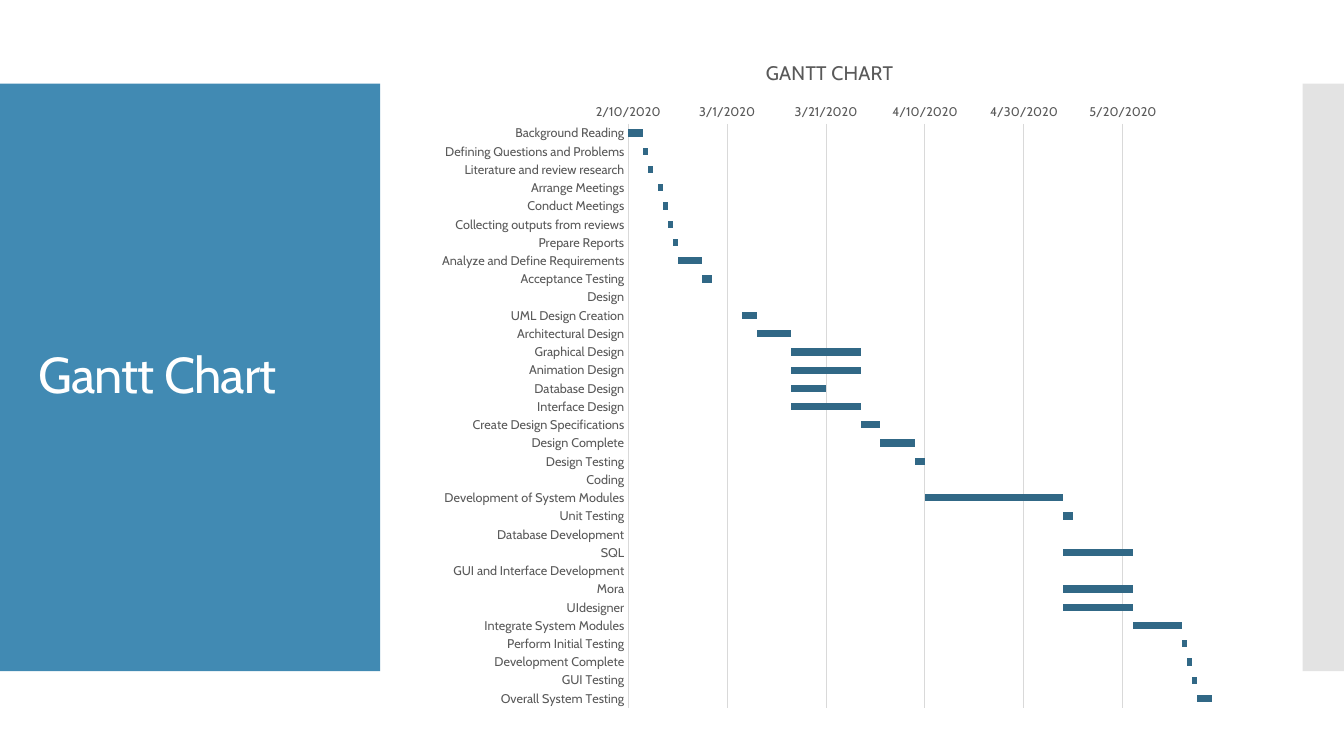
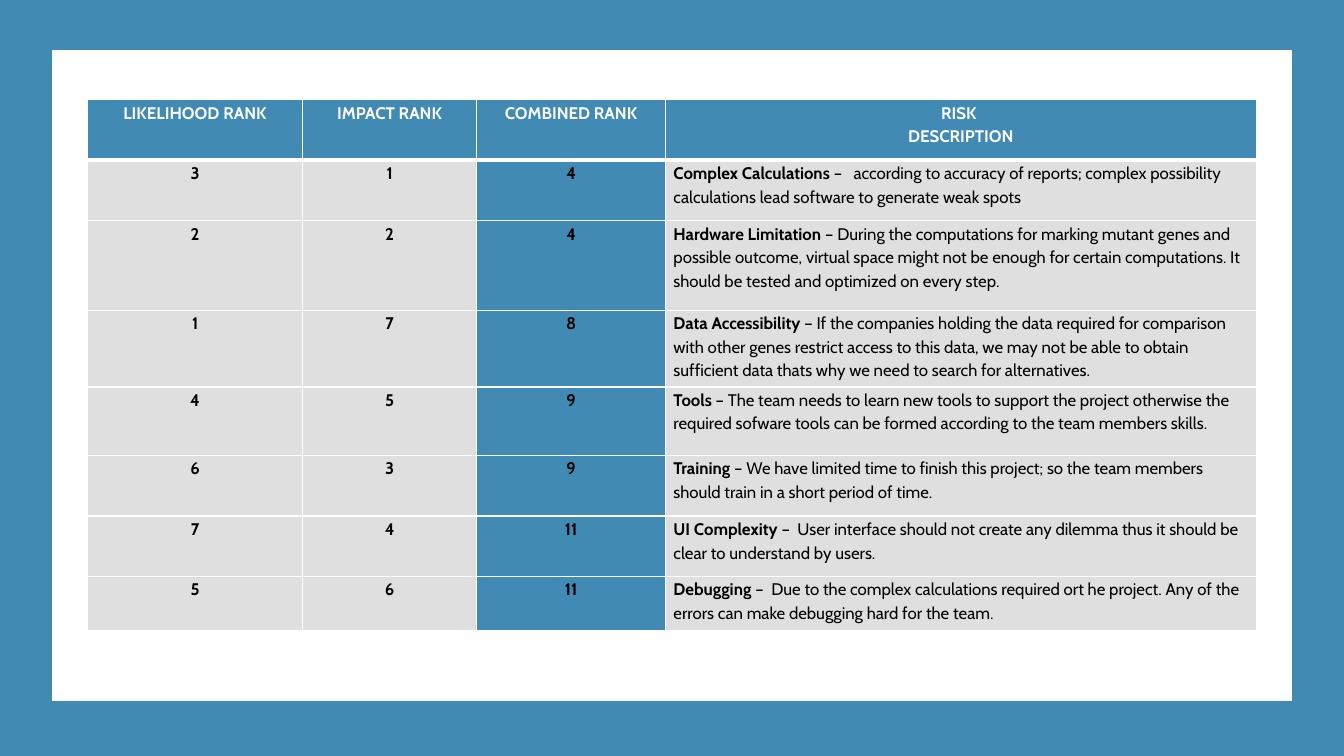
from dataclasses import dataclass

from lxml.etree import SubElement
from pptx import Presentation
from pptx.chart.data import CategoryChartData
from pptx.dml.color import RGBColor as RGB
from pptx.enum.chart import XL_CHART_TYPE as ChartType, XL_TICK_MARK as Tick
from pptx.enum.shapes import MSO_SHAPE as Shape
from pptx.enum.text import MSO_ANCHOR as Anchor, PP_ALIGN as Align
from pptx.oxml import parse_xml
from pptx.oxml.ns import nsdecls, qn
from pptx.util import Inches, Pt


@dataclass(frozen=True)
class Theme:
    font: str = "Cabin"
    blue: RGB = RGB(0x41, 0x8A, 0xB3)
    bar: RGB = RGB(0x31, 0x68, 0x86)
    white: RGB = RGB(0xFF, 0xFF, 0xFF)
    black: RGB = RGB(0, 0, 0)
    band: RGB = RGB(0xC8, 0xC8, 0xC8)
    cell: RGB = RGB(0xDF, 0xDF, 0xDF)
    grid: RGB = RGB(0xD9, 0xD9, 0xD9)
    label: RGB = RGB(0x59, 0x59, 0x59)
    title_size: Pt = Pt(36)
    chart_title_size: Pt = Pt(14)
    chart_size: Pt = Pt(10)
    axis_size: Pt = Pt(9)
    table_size: Pt = Pt(12)


T = Theme()

FIRST_DAY, LAST_DAY = 43871, 43990
CHART_BOX = (4.23, 0.37, 8, 6.8)
PLOT_BOX = (2, 0.86, 5.84, 5.79)
CHART_TITLE_AT = (3.33, 0.18)

TASKS = [
    ("Background Reading", 0, 3),
    ("Defining Questions and Problems", 3, 1),
    ("Literature and review research", 4, 1),
    ("Arrange Meetings", 6, 1),
    ("Conduct Meetings", 7, 1),
    ("Collecting outputs from reviews", 8, 1),
    ("Prepare Reports", 9, 1),
    ("Analyze and Define Requirements", 10, 5),
    ("Acceptance Testing", 15, 2),
    ("Design", None, None),
    ("UML Design Creation", 23, 3),
    ("Architectural Design", 26, 7),
    ("Graphical Design", 33, 14),
    ("Animation Design", 33, 14),
    ("Database Design", 33, 7),
    ("Interface Design", 33, 14),
    ("Create Design Specifications", 47, 4),
    ("Design Complete", 51, 7),
    ("Design Testing", 58, 2),
    ("Coding", None, None),
    ("Development of System Modules", 60, 28),
    ("Unit Testing", 88, 2),
    ("Database Development", None, None),
    ("SQL", 88, 14),
    ("GUI and Interface Development", None, None),
    ("Mora", 88, 14),
    ("UIdesigner", 88, 14),
    ("Integrate System Modules", 102, 10),
    ("Perform Initial Testing", 112, 1),
    ("Development Complete", 113, 1),
    ("GUI Testing", 114, 1),
    ("Overall System Testing", 115, 3),
]

COLUMN_WIDTHS = [2.13, 1.73, 1.87, 5.86]
ROW_HEIGHTS = [0.6, 0.6, 0.89, 0.76, 0.68, 0.6, 0.6, 0.54]
COMBINED_COLUMN = 2
HEADINGS = ["LIKELIHOOD RANK", "IMPACT RANK", "COMBINED RANK", "RISK \nDESCRIPTION"]
RISKS = [
    (3, 1, 4, "Complex Calculations ",
     "–   according to accuracy of reports; complex possibility calculations "
     "lead software to generate weak spots"),
    (2, 2, 4, "Hardware Limitation ",
     "– During the computations for marking mutant genes and possible outcome, "
     "virtual space might not be enough for certain computations. It should be "
     "tested and optimized on every step."),
    (1, 7, 8, "Data Accessibility ",
     "– If the companies holding the data required for comparison with other "
     "genes restrict access to this data, we may not be able to obtain "
     "sufficient data thats why we need to search for alternatives."),
    (4, 5, 9, "Tools",
     " – The team needs to learn new tools to support the project otherwise the "
     "required sofware tools can be formed according to the team members skills."),
    (6, 3, 9, "Training",
     " – We have limited time to finish this project; so the team members should "
     "train in a short period of time."),
    (7, 4, 11, "UI Complexity ",
     "–  User interface should not create any dilemma thus it should be clear "
     "to understand by users."),
    (5, 6, 11, "Debugging ",
     "–  Due to the complex calculations required ort he project. Any of the "
     "errors can make debugging hard for the team."),
]


def set_font(font, size, color, bold=False):
    font.name, font.size, font.bold = T.font, size, bold
    font.color.rgb = color


def add_rect(s, box, color, alpha=None):
    sp = s.shapes.add_shape(Shape.RECTANGLE, *map(Inches, box))
    sp.shadow.inherit = False
    sp.fill.solid()
    sp.fill.fore_color.rgb = color
    sp.line.fill.background()
    if alpha is not None:
        clr = next(sp._element.spPr.iter(qn("a:srgbClr")))
        SubElement(clr, qn("a:alpha")).set("val", str(alpha * 1000))
    return sp


def add_master_bands(master, s):
    bands = [add_rect(s, (0, 0.83, 3.77, 5.83), T.blue),
             add_rect(s, (12.92, 0.83, 0.41, 5.83), T.band, alpha=50)]
    tree = master.shapes._spTree
    for i, sp in enumerate(bands):
        sp._element.nvSpPr.cNvPr.set("id", str(100 + i))
        tree.insert(2 + i, sp._element)


def add_title(s, text, box):
    tf = s.shapes.add_textbox(*map(Inches, box)).text_frame
    tf.word_wrap = True
    tf.vertical_anchor = Anchor.MIDDLE
    p = tf.paragraphs[0]
    p.line_spacing = 0.9
    set_font(p.font, T.title_size, T.white)
    r = p.add_run()
    r.text = text
    r._r.get_or_add_rPr().set("spc", "-60")


def place_in_chart(element, index, box, inner=False):
    for old in element.findall(qn("c:layout")):
        element.remove(old)
    target = '<c:layoutTarget val="inner"/>' if inner else ""
    modes = "".join(f'<c:{n}Mode val="edge"/>' for n in "xy")
    sizes = "".join(f'<c:{n} val="{v / CHART_BOX[2 + i % 2]:.4f}"/>'
                    for i, (n, v) in enumerate(zip("xywh", box)))
    element.insert(index, parse_xml(
        f'<c:layout {nsdecls("c")}><c:manualLayout>{target}{modes}{sizes}'
        '</c:manualLayout></c:layout>'))


def style_axis(axis):
    axis.major_tick_mark = axis.minor_tick_mark = Tick.NONE
    set_font(axis.tick_labels.font, T.axis_size, T.label)


def set_line(line, color, width=Pt(0.75)):
    line.color.rgb = color
    line.width = width


def add_gantt(s):
    data = CategoryChartData()
    data.categories = [name for name, _, _ in TASKS]
    data.add_series("Series 1", [None if start is None else FIRST_DAY + start
                                 for _, start, _ in TASKS])
    data.add_series("Series 2", [days for _, _, days in TASKS])
    chart = s.shapes.add_chart(
        ChartType.BAR_STACKED, *map(Inches, CHART_BOX), data).chart
    chart.has_legend = False
    set_font(chart.font, T.chart_size, T.black)

    chart.has_title = True
    p = chart.chart_title.text_frame.paragraphs[0]
    p.text = "GANTT CHART"
    set_font(p.font, T.chart_title_size, T.label)
    place_in_chart(chart.chart_title._element, 1, CHART_TITLE_AT)
    place_in_chart(chart._chartSpace.chart.plotArea, 0, PLOT_BOX, inner=True)

    plot = chart.plots[0]
    plot.gap_width, plot.overlap = 150, 100
    plot.vary_by_categories = False
    offset, duration = plot.series
    offset.format.fill.background()
    duration.format.fill.solid()
    duration.format.fill.fore_color.rgb = T.bar

    tasks, dates = chart.category_axis, chart.value_axis
    style_axis(tasks)
    tasks.reverse_order = True
    set_line(tasks.format.line, T.grid)
    style_axis(dates)
    dates.minimum_scale, dates.maximum_scale = FIRST_DAY, LAST_DAY
    dates.major_unit = 20
    dates.tick_labels.number_format = "m/d/yyyy"
    dates.tick_labels.number_format_is_linked = False
    dates.format.line.fill.background()
    set_line(dates.major_gridlines.format.line, T.grid)


def set_borders(cell, top=1, bottom=1):
    tc_pr = cell._tc.get_or_add_tcPr()
    for side, width in (("L", 1), ("R", 1), ("T", top), ("B", bottom)):
        ln = SubElement(tc_pr, qn(f"a:ln{side}"), w=str(Pt(width)))
        fill = SubElement(ln, qn("a:solidFill"))
        SubElement(fill, qn("a:srgbClr"), val=str(T.white))


def fill_cell(cell, paragraphs, fill, color, align):
    cell.margin_left = cell.margin_right = Inches(0.08)
    cell.margin_top = cell.margin_bottom = 0
    cell.fill.solid()
    cell.fill.fore_color.rgb = fill
    tf = cell.text_frame
    for i, runs in enumerate(paragraphs):
        p = tf.add_paragraph() if i else tf.paragraphs[0]
        p.alignment, p.line_spacing = align, 1.15
        for j, text in enumerate(runs):
            r = p.add_run()
            r.text = text
            set_font(r.font, T.table_size, color, bold=j == 0)


def add_risk_table(s, left, top):
    table = s.shapes.add_table(
        len(ROW_HEIGHTS), len(COLUMN_WIDTHS), Inches(left), Inches(top),
        Inches(sum(COLUMN_WIDTHS)), Inches(sum(ROW_HEIGHTS))).table
    table.horz_banding = False
    for column, width in zip(table.columns, COLUMN_WIDTHS):
        column.width = Inches(width)
    for row, height in zip(table.rows, ROW_HEIGHTS):
        row.height = Inches(height)

    for c, heading in enumerate(HEADINGS):
        cell = table.cell(0, c)
        set_borders(cell, bottom=3)
        fill_cell(cell, [[line] for line in heading.split("\n")],
                  T.blue, T.white, Align.CENTER)
    for i, (*ranks, risk, description) in enumerate(RISKS, 1):
        contents = [[str(rank)] for rank in ranks] + [[risk, description]]
        for c, runs in enumerate(contents):
            cell = table.cell(i, c)
            set_borders(cell, top=3 if i == 1 else 1)
            fill_cell(cell, [runs],
                      T.blue if c == COMBINED_COLUMN else T.cell, T.black,
                      Align.CENTER if c < len(ranks) else Align.LEFT)


def build_gantt_slide(s):
    add_title(s, "Gantt Chart", (0.28, 1.23, 3.22, 5.03))
    add_gantt(s)


def build_risk_slide(s):
    add_rect(s, (0, 0, 13.33, 7.5), T.blue)
    panel = add_rect(s, (0.52, 0.5, 12.29, 6.45), T.white)
    set_line(panel.line, T.white, Pt(0.85))
    add_risk_table(s, 0.87, 0.99)


def main():
    prs = Presentation()
    prs.slide_width, prs.slide_height = Inches(13.33), Inches(7.5)
    gantt, risks = (prs.slides.add_slide(prs.slide_layouts[6]) for _ in range(2))
    add_master_bands(prs.slide_master, gantt)
    build_gantt_slide(gantt)
    build_risk_slide(risks)
    prs.save("out.pptx")


if __name__ == "__main__":
    main()
